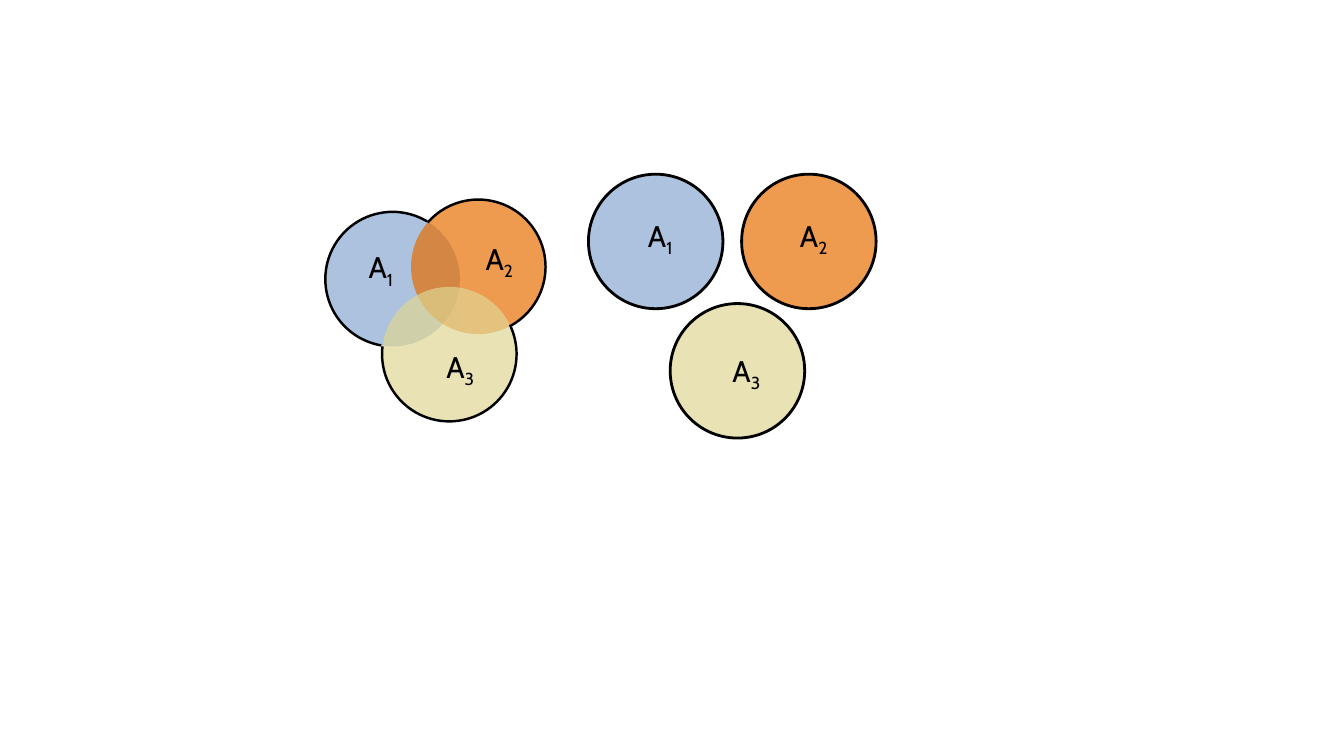
from lxml import etree
from pptx import Presentation
from pptx.dml.color import RGBColor
from pptx.enum.shapes import MSO_SHAPE
from pptx.enum.text import MSO_AUTO_SIZE
from pptx.oxml.ns import qn
from pptx.util import Cm, Pt

OVAL, ARC = MSO_SHAPE.OVAL, MSO_SHAPE.ARC
GROW = MSO_AUTO_SIZE.SHAPE_TO_FIT_TEXT

# Content: (set number, circle corner, label corner, arc start and end in degrees), in cm
OVERLAP = [
    (1, (8.2, 5.34), (9.04, 6.15), (99.69, 300.86)),
    (2, (10.36, 5.03), (11.99, 5.94), (221.1, 62.39)),
    (3, (9.63, 7.23), (11, 8.66), (336.2, 186.63)),
]
APART = [
    (1, (14.83, 4.39), (16.08, 5.36), None),
    (2, (18.69, 4.39), (19.91, 5.36), None),
    (3, (16.89, 7.65), (18.21, 8.76), None),
]
CIRCLE = (3.39, 3.39)
LABEL = (1.55, 1.17)

THEME = {
    "sets": {1: "87A7D0", 2: "E76D00", 3: "DFD693"},
    "ink": RGBColor(0, 0, 0),
    "alpha": "69000",
    "arc": Pt(1.75),
    "ring": Pt(2),
    "font": {"name": "Cabin", "size": Pt(21.3)},
}
FRAME = {"word_wrap": True, "auto_size": GROW}


def apply(item, style):
    for key, value in style.items():
        setattr(item, key, value)


def draw(kind, spot, color=None, width=None):
    shape = slide.shapes.add_shape(kind, *map(Cm, spot + CIRCLE))
    shape.shadow.inherit = False
    if color:
        shape.fill.solid()
        shape.fill.fore_color.rgb = RGBColor.from_string(color)
        tint = shape._element.spPr.find(qn("a:solidFill"))[0]
        etree.SubElement(tint, qn("a:alpha")).set("val", THEME["alpha"])
    else:
        shape.fill.background()
    if width:
        shape.line.color.rgb = THEME["ink"]
        shape.line.width = width
    else:
        shape.line.fill.background()
    return shape


def label(num, spot):
    frame = slide.shapes.add_textbox(*map(Cm, spot + LABEL)).text_frame
    apply(frame, FRAME)
    for text in ("A", str(num)):
        run = frame.paragraphs[0].add_run()
        run.text = text
        apply(run.font, THEME["font"])
        run.font.color.rgb = THEME["ink"]
    run._r.get_or_add_rPr().set("baseline", "-25000")


deck = Presentation()
deck.slide_width, deck.slide_height = Cm(33.87), Cm(19.05)
slide = deck.slides.add_slide(deck.slide_layouts[6])

# Overlapping sets: plain circles, then the outer outline as arcs
for num, spot, _, _ in OVERLAP:
    draw(OVAL, spot, THEME["sets"][num])
for _, spot, _, angles in sorted(OVERLAP, key=lambda row: -row[0]):
    arc = draw(ARC, spot, width=THEME["arc"])
    for i, angle in enumerate(angles):
        arc.adjustments[i] = angle * 0.6  # 60000 units a degree, scaled by 100000

# Disjoint sets
for num, spot, _, _ in APART:
    draw(OVAL, spot, THEME["sets"][num], THEME["ring"])

# Set names
for num, _, spot, _ in OVERLAP + APART:
    label(num, spot)

deck.save("out.pptx")
